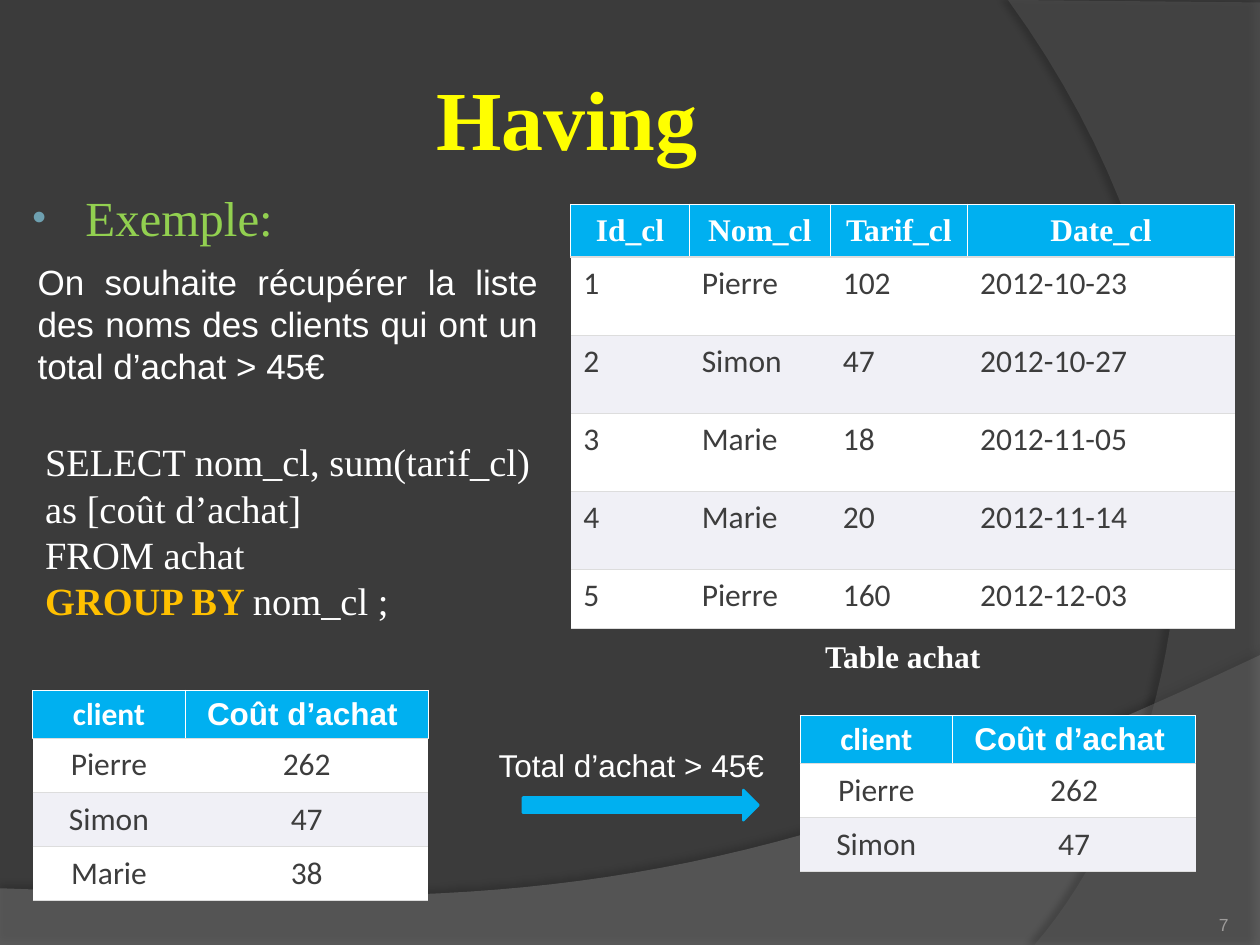
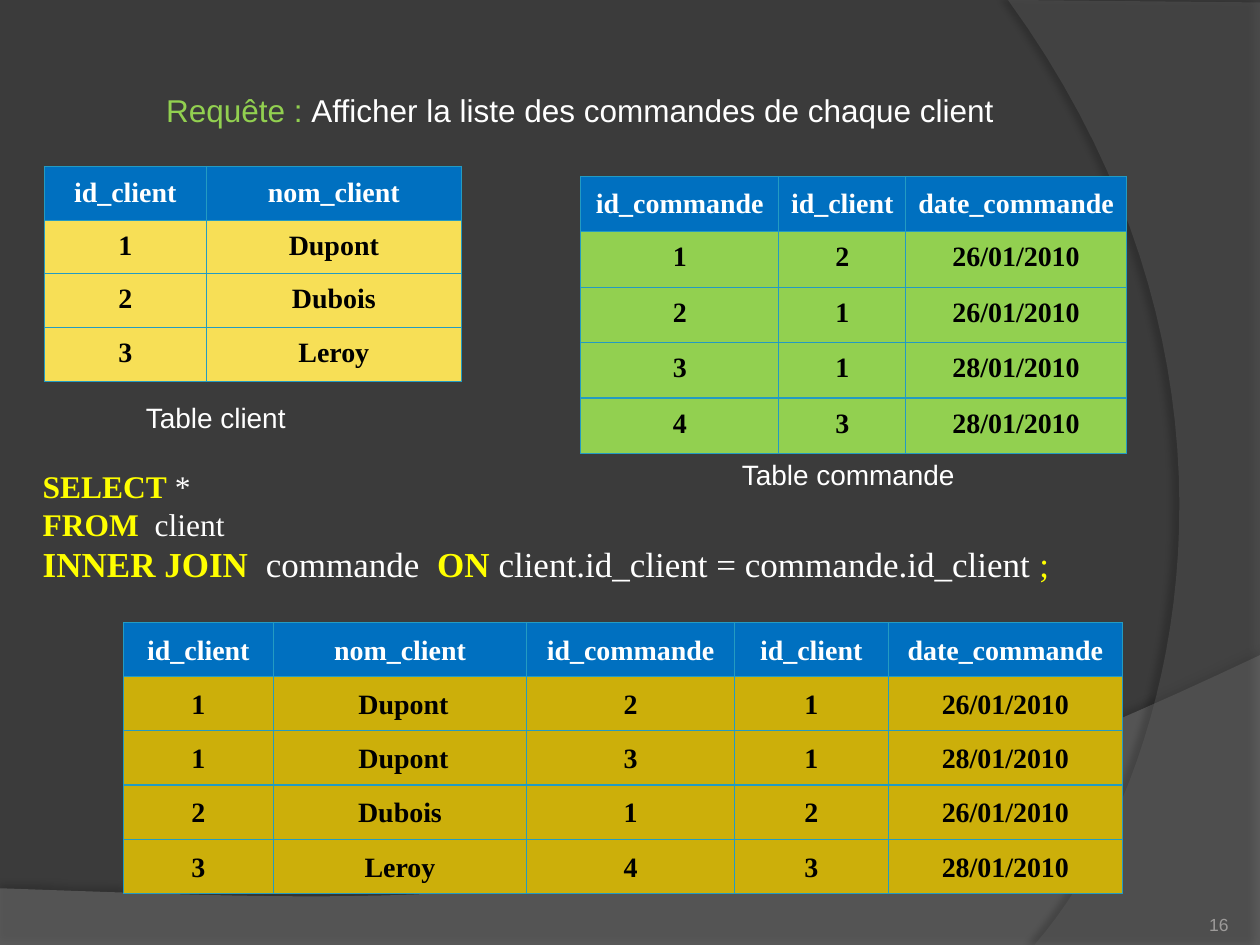
import pptx
import pptx.dml.color
import pptx.enum.shapes
import pptx.enum.text
import pptx.oxml
import pptx.oxml.ns
import pptx.util

Inches = pptx.util.Inches
Pt = pptx.util.Pt
Align = pptx.enum.text.PP_ALIGN
Anchor = pptx.enum.text.MSO_ANCHOR
RGBColor = pptx.dml.color.RGBColor

DARK = RGBColor(0x3B, 0x3B, 0x3B)
ASH = RGBColor(0x7F, 0x7F, 0x7F)
STONE = RGBColor(0x5E, 0x5E, 0x5E)
MIST = RGBColor(0x9D, 0x9B, 0x9A)
WHITE = RGBColor(0xFF, 0xFF, 0xFF)
BLACK = RGBColor(0, 0, 0)
INK = RGBColor(0x3D, 0x3D, 0x3D)
PALE = RGBColor(0xF0, 0xF0, 0xF6)
RULE = RGBColor(0xDD, 0xDD, 0xDD)
SKY = RGBColor(0x00, 0xB0, 0xF0)
BLUE = RGBColor(0x00, 0x70, 0xC0)
TEAL = RGBColor(0x23, 0x9B, 0xC2)
GREEN = RGBColor(0x92, 0xD0, 0x50)
YELLOW = RGBColor(0xFF, 0xFF, 0x00)
AMBER = RGBColor(0xFF, 0xC0, 0x00)
STRAW = RGBColor(0xF7, 0xDF, 0x56)
GOLD = RGBColor(0xCC, 0xAF, 0x0A)

SERIF, SANS, BODY = "Times New Roman", "Arial", "Calibri"
KEY = {"color": YELLOW, "bold": True}


def node(xml):
    """Parse a drawing fragment whose root declares the a: namespace."""
    return pptx.oxml.parse_xml(xml.replace(" ", f" {pptx.oxml.ns.nsdecls('a')} ", 1))


def write(frame, *lines, size=18, font=SANS, color=WHITE, bold=False, align=Align.LEFT):
    """Fill a frame; each line is a string or a list of (text, overrides) runs."""
    for i, line in enumerate(lines):
        para = frame.paragraphs[0] if i == 0 else frame.add_paragraph()
        para.alignment = align
        for text, extra in [(line, {})] if isinstance(line, str) else line:
            look = {"size": size, "color": color, "bold": bold} | extra
            run = para.add_run()
            run.text = text
            run.font.name = font
            run.font.size = Pt(look["size"])
            run.font.bold = look["bold"]
            run.font.color.rgb = look["color"]


def label(slide, box, *lines, anchor=Anchor.TOP, inset=None, **look):
    """Add a wrapping text box and return its frame."""
    frame = slide.shapes.add_textbox(*map(Inches, box)).text_frame
    frame.word_wrap = True
    frame.vertical_anchor = anchor
    if inset is not None:
        frame.margin_left = frame.margin_right = Inches(inset)
        frame.margin_top = frame.margin_bottom = Inches(inset)
    write(frame, *lines, **look)
    return frame


def curve(a, b, c, d, steps=40):
    """Return points along a cubic curve, without its start."""
    points = []
    for i in range(1, steps + 1):
        t = i / steps
        u = 1 - t
        points.append(tuple(u**3 * p + 3 * u * u * t * q + 3 * u * t * t * r + t**3 * s
                            for p, q, r, s in zip(a, b, c, d)))
    return points


def band(slide, points, color, alpha, shade, dist, angle):
    """Draw a translucent shadowed outline and return it."""
    first, *rest = [tuple(map(Inches, point)) for point in points]
    pen = slide.shapes.build_freeform(*first)
    pen.add_line_segments(rest, close=True)
    shape = pen.convert_to_shape()
    shape.fill.solid()
    shape.fill.fore_color.rgb = color
    shape.line.fill.background()
    tint = shape.element.spPr.find(".//" + pptx.oxml.ns.qn("a:srgbClr"))
    tint.append(node(f'<a:alpha val="{alpha * 1000}"/>'))
    shape.element.spPr.append(node(
        f'<a:effectLst ><a:outerShdw blurRad="{Pt(4)}" dist="{Pt(dist)}" '
        f'dir="{angle * 60000}" algn="ctr" rotWithShape="0"><a:srgbClr val="000000">'
        f'<a:alpha val="{shade * 1000}"/></a:srgbClr></a:outerShdw></a:effectLst>'))
    return shape


def dress(deck, slide):
    """Give the master its background and the two curved bands."""
    master = deck.slide_master
    master.background.fill.solid()
    master.background.fill.fore_color.rgb = DARK
    floor = [(0, 7.05), (0, 7.5), (10, 7.5), (10, 5.2)]
    floor += curve((10, 5.2), (5.59, 7.29), (3.91, 7.19), (0, 7.05))
    side = [(10, 0.02), (10, 7.5), (8.21, 7.5)]
    side += curve((8.21, 7.5), (9.35, 6.19), (10.18, 3), (8, 0))
    bands = [band(slide, floor, ASH, 45, 35, 3.5, 270),
             band(slide, side, STONE, 40, 45, 4, 180)]
    for i, shape in enumerate(bands):
        master.shapes.element.insert(2 + i, shape.element)


def edge(cell, **sides):
    """Set the L, R, T and B borders of a cell, None meaning no line."""
    props = cell._tc.get_or_add_tcPr()
    for side in "LRTB":
        color = sides.get(side)
        paint = (f'<a:solidFill><a:srgbClr val="{color}"/></a:solidFill>'
                 if color else "<a:noFill/>")
        props.append(node(f'<a:ln{side} w="{Pt(0.75)}">{paint}</a:ln{side}>'))


def dye(cell, tone, text, inset, anchor, **look):
    """Fill a cell and write its text."""
    cell.fill.solid()
    cell.fill.fore_color.rgb = tone
    cell.margin_left, cell.margin_top, cell.margin_right, cell.margin_bottom = (
        Inches(inset[i % 2]) for i in range(4))
    cell.vertical_anchor = anchor
    write(cell.text_frame, text, **look)


def grid(slide, spot, cols, rows, data, paint):
    """Add a table at a spot and paint each cell by its row and column."""
    shape = slide.shapes.add_table(len(rows), len(cols), *map(Inches, (*spot, sum(cols), sum(rows))))
    table = shape.table
    table.first_row = table.horz_banding = False
    for col, width in zip(table.columns, cols):
        col.width = Inches(width)
    for row, height in zip(table.rows, rows):
        row.height = Inches(height)
    for r, line in enumerate(data):
        for c, text in enumerate(line):
            paint(table.cell(r, c), text, r, c)


def light(fonts, align):
    """Return a painter with a sky header and pale stripes."""
    def paint(cell, text, r, c):
        """Paint one cell."""
        if r == 0:
            edge(cell, L=WHITE, R=WHITE, T=WHITE, B=RULE)
            dye(cell, SKY, text, (0.04, 0.04), Anchor.MIDDLE, font=fonts[c],
                bold=True, align=Align.CENTER)
        else:
            edge(cell, T=RULE, B=RULE)
            dye(cell, WHITE if r % 2 else PALE, text, (0.1, 0.06), Anchor.TOP,
                font=BODY, color=INK, align=align)
    return paint


def ruled(tone, head=Anchor.MIDDLE, body=Anchor.TOP):
    """Return a painter with a blue header and teal rules all round."""
    def paint(cell, text, r, c):
        """Paint one cell."""
        edge(cell, **dict.fromkeys("LRTB", TEAL))
        dye(cell, tone if r else BLUE, text, (0.08, 0.08), body if r else head, size=16,
            font=SERIF, bold=True, color=BLACK if r else WHITE, align=Align.CENTER)
    return paint


def number(slide, text):
    """Write the slide number at the lower right."""
    label(slide, (8.92, 7.02, 0.83, 0.4), text, anchor=Anchor.BOTTOM, inset=0,
          size=10, color=MIST, align=Align.RIGHT)


def head(slide, box, text):
    """Move and format the title."""
    title = slide.shapes.title
    title.left, title.top, title.width, title.height = map(Inches, box)
    title.text_frame.vertical_anchor = Anchor.MIDDLE
    write(title.text_frame, text, size=48, font=SERIF, color=YELLOW, bold=True,
          align=Align.CENTER)


def task(slide, x, y):
    """Place the example heading, its request and its query."""
    frame = label(slide, (x, y, 4.2, 0.58), "Exemple:", size=28, font=SERIF, color=GREEN)
    props = frame.paragraphs[0]._p.get_or_add_pPr()
    props.set("marL", str(Inches(0.46)))
    props.set("indent", str(Inches(-0.42)))
    for xml in ('<a:buClr ><a:srgbClr val="6EA0B0"/></a:buClr>', '<a:buSzPct val="80000"/>',
                '<a:buFont typeface="Arial"/>', '<a:buChar char="•"/>'):
        props.append(node(xml))
    label(slide, (x + 0.08, y + 0.58, 4.17, 1.11),
          "On souhaite récupérer la liste des noms des clients qui ont un total d’achat > 45€ ",
          size=20, align=Align.JUSTIFY)
    label(slide, (x + 0.14, y + 1.99, 4.19, 1.58),
          "SELECT nom_cl, sum(tarif_cl) as [coût d’achat]", "FROM achat",
          [("GROUP BY ", {"color": AMBER, "bold": True}), ("nom_cl ;", {})],
          size=22, font=SERIF)


def sales(slide, x, y):
    """Place the purchase table and its caption."""
    data = [("Id_cl", "Nom_cl", "Tarif_cl", "Date_cl"),
            ("1", "Pierre", "102", "2012-10-23"),
            ("2", "Simon", "47", "2012-10-27"),
            ("3", "Marie", "18", "2012-11-05"),
            ("4", "Marie", "20", "2012-11-14"),
            ("5", "Pierre", "160", "2012-12-03")]
    grid(slide, (x, y), [0.94, 1.12, 1.09, 2.12], [0.42] + [0.62] * 4 + [0.47],
         data, light([SERIF] * 4, Align.LEFT))
    label(slide, (x + 1.92, y + 3.39, 1.6, 0.4), "Table achat ", font=SERIF, bold=True)


def flow(slide, x, y):
    """Place the grouped totals, the arrow and the filtered totals."""
    data = [("client", "Coût d’achat "), ("Pierre", "262"), ("Simon", "47"), ("Marie", "38")]
    for dx, dy, count in ((0, 0, 4), (6.09, 0.2, 3)):
        grid(slide, (x + dx, y + dy), [1.21, 1.93], [0.38] + [0.43] * (count - 1),
             data[:count], light([BODY, SANS], Align.CENTER))
    arrow = slide.shapes.add_shape(pptx.enum.shapes.MSO_SHAPE.RIGHT_ARROW,
                                   *map(Inches, (x + 3.89, y + 0.79, 1.87, 0.24)))
    arrow.shadow.inherit = False
    arrow.fill.solid()
    arrow.fill.fore_color.rgb = arrow.line.color.rgb = SKY
    arrow.line.width = Pt(1.5)
    label(slide, (x + 3.6, y + 0.39, 2.4, 0.4), "Total d’achat > 45€ ")


def client(slide, x, y):
    """Place the client table and its caption."""
    data = [("id_client", "nom_client"), ("1", "Dupont"), ("2", "Dubois"), ("3", "Leroy")]
    grid(slide, (x, y), [1.29, 2.02], [0.42] * 4, data, ruled(STRAW))
    label(slide, (x + 0.71, y + 1.81, 1.81, 0.37), "Table client", size=16)


def order(slide, x, y):
    """Place the order table and its caption."""
    data = [("id_commande", "id_client", "date_commande"),
            ("1", "2", "26/01/2010"), ("2", "1", "26/01/2010"),
            ("3", "1", "28/01/2010"), ("4", "3", "28/01/2010")]
    grid(slide, (x, y), [1.57, 1.01, 1.75], [0.44] * 5, data, ruled(GREEN))
    label(slide, (x + 1.18, y + 2.18, 2.91, 0.37), "Table commande", size=16)


def query(slide, x, y):
    """Place the join query and the table it yields."""
    big = {"size": 20}
    label(slide, (x, y, 8.68, 1.04), [("SELECT", KEY), (" *", {})],
          [("FROM  ", KEY), ("client", {})],
          [("INNER JOIN  ", KEY | big), ("commande  ", big), ("ON ", KEY | big),
           ("client.id_client = commande.id_client ", big),
           (";", big | {"color": YELLOW})], font=SERIF)
    data = [("id_client", "nom_client", "id_commande", "id_client", "date_commande"),
            ("1", " Dupont", "2", "1", "26/01/2010"),
            ("1", " Dupont", "3", "1", "28/01/2010"),
            ("2", "Dubois", "1", "2", "26/01/2010"),
            ("3", "Leroy", "4", "3", "28/01/2010")]
    grid(slide, (x + 0.74, y + 1.28), [1.19, 2.01, 1.65, 1.22, 1.86], [0.43] * 5,
         data, ruled(GOLD, Anchor.BOTTOM, Anchor.BOTTOM))


def having(slide):
    """Build the slide on filtering groups."""
    head(slide, (0.5, 0.3, 8.17, 1.25), "Having ")
    task(slide, 0.12, 1.44)
    sales(slide, 4.53, 1.62)
    flow(slide, 0.26, 5.48)
    number(slide, "7")


def join(slide):
    """Build the slide on joining two tables."""
    label(slide, (1.22, 0.67, 6.77, 0.4),
          [("Requête : ", {"color": GREEN}),
           ("Afficher la liste des commandes de chaque client", {})])
    client(slide, 0.35, 1.32)
    order(slide, 4.61, 1.4)
    query(slide, 0.24, 3.66)
    number(slide, "16")


def main():
    """Build and save the deck."""
    deck = pptx.Presentation()
    deck.slide_width, deck.slide_height = Inches(10), Inches(7.5)
    first = deck.slides.add_slide(deck.slide_layouts[5])
    dress(deck, first)
    having(first)
    join(deck.slides.add_slide(deck.slide_layouts[6]))
    deck.save("out.pptx")


if __name__ == "__main__":
    main()
